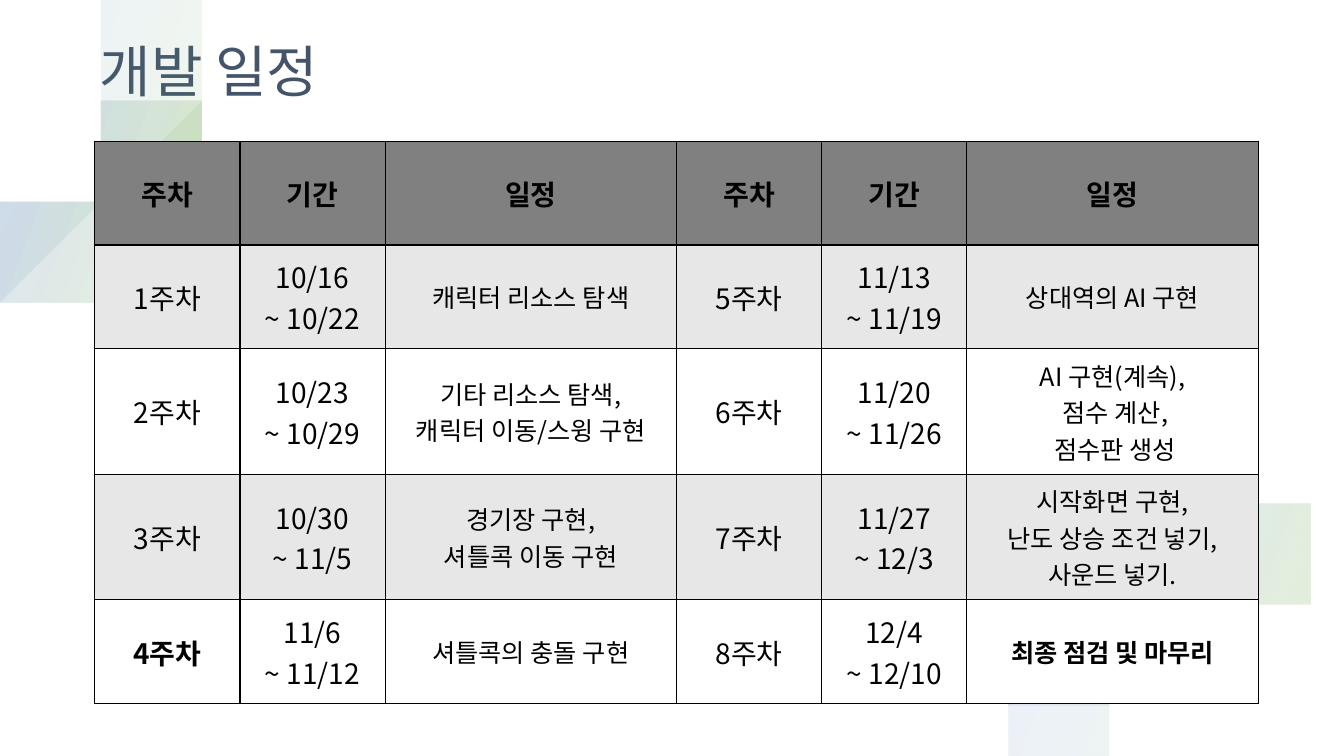
"""Build the development schedule slide: title, ribbon backdrop and an eight-week table."""
from lxml.etree import SubElement
from pptx import Presentation
from pptx.dml.color import RGBColor
from pptx.enum.text import MSO_ANCHOR as Anchor, PP_ALIGN as Align
from pptx.oxml import parse_xml
from pptx.oxml.ns import nsdecls, qn
from pptx.util import Inches, Pt

COLORS = {"white": "FFFFFF", "title": "44546A", "text": "000000", "header": "808080",
          "band": "E7E7E7", "green": "70AD47", "blue": "4472C4"}
FONT = "Noto Sans CJK KR"


def add_text(paragraph, text, size, color, bold=False):
    run = paragraph.add_run()
    run.text = text
    run.font.size = Pt(size)
    run.font.bold = bold
    run.font.color.rgb = RGBColor.from_string(COLORS[color])
    run.font.name = FONT
    SubElement(run.font._element, qn("a:ea"), typeface=FONT)


def curve(points, steps=32):
    result = []
    for step in range(steps + 1):
        t = step / steps
        weights = ((1 - t) ** 3, 3 * t * (1 - t) ** 2, 3 * t ** 2 * (1 - t), t ** 3)
        result.append(tuple(sum(w * p[axis] for w, p in zip(weights, points))
                            for axis in (0, 1)))
    return result


prs = Presentation()
prs.slide_width, prs.slide_height = Inches(13.33), Inches(7.5)
slide = prs.slides.add_slide(prs.slide_layouts[5])
slide.background.fill.solid()
slide.background.fill.fore_color.rgb = RGBColor.from_string(COLORS["white"])

title = slide.shapes.title
title.left, title.top = Inches(0.89), Inches(0.31)
title.width, title.height = Inches(11.64), Inches(0.85)
title.text_frame.vertical_anchor = Anchor.MIDDLE
heading = title.text_frame.paragraphs[0]
heading.alignment = Align.LEFT
heading.line_spacing = 0.9
add_text(heading, "개발 일정", 40, "title")

top_edge = [(0, 2.73), (1.15, 2.35), (1.97, 1.2), (2.12, 0)]
bottom_edge = [(10, 7.5), (10.07, 6.05), (11.75, 4.92), (13.33, 5.23)]
ribbons = [
    ([(0, 2.75), (1.2, 2.4), (2.25, 1.4), (2.37, 0)],
     [(0, 2.7), (0.93, 2.41), (1.96, 1.28), (2.12, 0)]),
    (top_edge, [(0, 2.07), (0.55, 1.89), (1.37, 1.1), (1.53, 0)]),
    ([(0, 2.74), (1.15, 2.37), (2, 1.28), (2.16, 0)],
     [(0, 2.54), (0.8, 2.29), (1.72, 1.32), (1.89, 0)]),
    (top_edge, [(0, 2.18), (0.6, 1.98), (1.47, 1.16), (1.63, 0)]),
    (bottom_edge, [(10.53, 7.5), (10.6, 6.43), (11.85, 5.52), (13.33, 5.76)]),
    (bottom_edge, [(10.45, 7.5), (10.5, 6.4), (11.79, 5.42), (13.33, 5.67)]),
    ([(10, 7.5), (10.05, 6.05), (11.64, 4.94), (13.33, 5.22)],
     [(10.15, 7.5), (10.2, 6.2), (11.79, 5.17), (13.33, 5.44)]),
    ([(9.99, 7.5), (10.05, 5.9), (11.64, 4.68), (13.33, 5.08)],
     [(10.02, 7.5), (10.08, 6.2), (11.6, 5.02), (13.33, 5.24)]),
]
stops = "".join(
    f'<a:gs pos="{position * 1000}"><a:srgbClr val="{COLORS[color]}">'
    '<a:alpha val="10000"/></a:srgbClr></a:gs>'
    for position, color in ((2, "white"), (16, "green"), (85, "blue"), (100, "white")))
for outer, inner in ribbons:
    outline = curve(outer) + curve(inner)[::-1]
    builder = slide.shapes.build_freeform(*outline[0], scale=Inches(1))
    builder.add_line_segments(outline[1:], close=True)
    ribbon = builder.convert_to_shape()
    ribbon.shadow.inherit = False
    ribbon.line.fill.background()
    ribbon.fill.background()
    no_fill = ribbon._element.spPr.find(qn("a:noFill"))
    no_fill.getparent().replace(no_fill, parse_xml(
        f'<a:gradFill {nsdecls("a")} rotWithShape="1"><a:gsLst>{stops}</a:gsLst>'
        '<a:lin ang="12000000" scaled="0"/></a:gradFill>'))

schedule = [
    ["주차", "기간", "일정"] * 2,
    ["1주차", "10/16|~ 10/22", "캐릭터 리소스 탐색",
     "5주차", "11/13|~ 11/19", "상대역의 AI 구현"],
    ["2주차", "10/23|~ 10/29", "기타 리소스 탐색,|캐릭터 이동/스윙 구현",
     "6주차", "11/20|~ 11/26", "AI 구현(계속),| 점수 계산,| 점수판 생성"],
    ["3주차", "10/30|~ 11/5", "경기장 구현,|셔틀콕 이동 구현",
     "7주차", "11/27|~ 12/3", "시작화면 구현,|난도 상승 조건 넣기,|사운드 넣기."],
    ["4주차", "11/6|~ 11/12", "셔틀콕의 충돌 구현",
     "8주차", "12/4|~ 12/10", "최종 점검 및 마무리"],
]
milestones = ("4주차", "최종 점검 및 마무리")
table = slide.shapes.add_table(5, 6, Inches(0.94), Inches(1.4),
                               Inches(11.54), Inches(5.15)).table
table.first_row = table.horz_banding = False
for column, width in zip(table.columns, [1.44, 1.44, 2.89] * 2):
    column.width = Inches(width)
for row_index, entries in enumerate(schedule):
    table.rows[row_index].height = Inches(1.03)
    is_header = row_index == 0
    fill = "header" if is_header else "band" if row_index % 2 else "white"
    for column_index, entry in enumerate(entries):
        cell = table.cell(row_index, column_index)
        cell.fill.solid()
        cell.fill.fore_color.rgb = RGBColor.from_string(COLORS[fill])
        cell.vertical_anchor = Anchor.MIDDLE
        cell.margin_left = cell.margin_right = Inches(0.16)
        cell.margin_top = cell.margin_bottom = Inches(0.08)
        size = 18 if column_index % 3 == 2 and not is_header else 20
        for line_index, line in enumerate(entry.split("|")):
            frame = cell.text_frame
            paragraph = frame.add_paragraph() if line_index else frame.paragraphs[0]
            paragraph.alignment = Align.CENTER
            add_text(paragraph, line, size, "text", is_header or entry in milestones)
        for order, side in enumerate("LRTB"):
            cell._tc.get_or_add_tcPr().insert(order, parse_xml(
                f'<a:ln{side} {nsdecls("a")} w="12700"><a:solidFill>'
                f'<a:srgbClr val="{COLORS["text"]}"/></a:solidFill></a:ln{side}>'))

prs.save("out.pptx")
